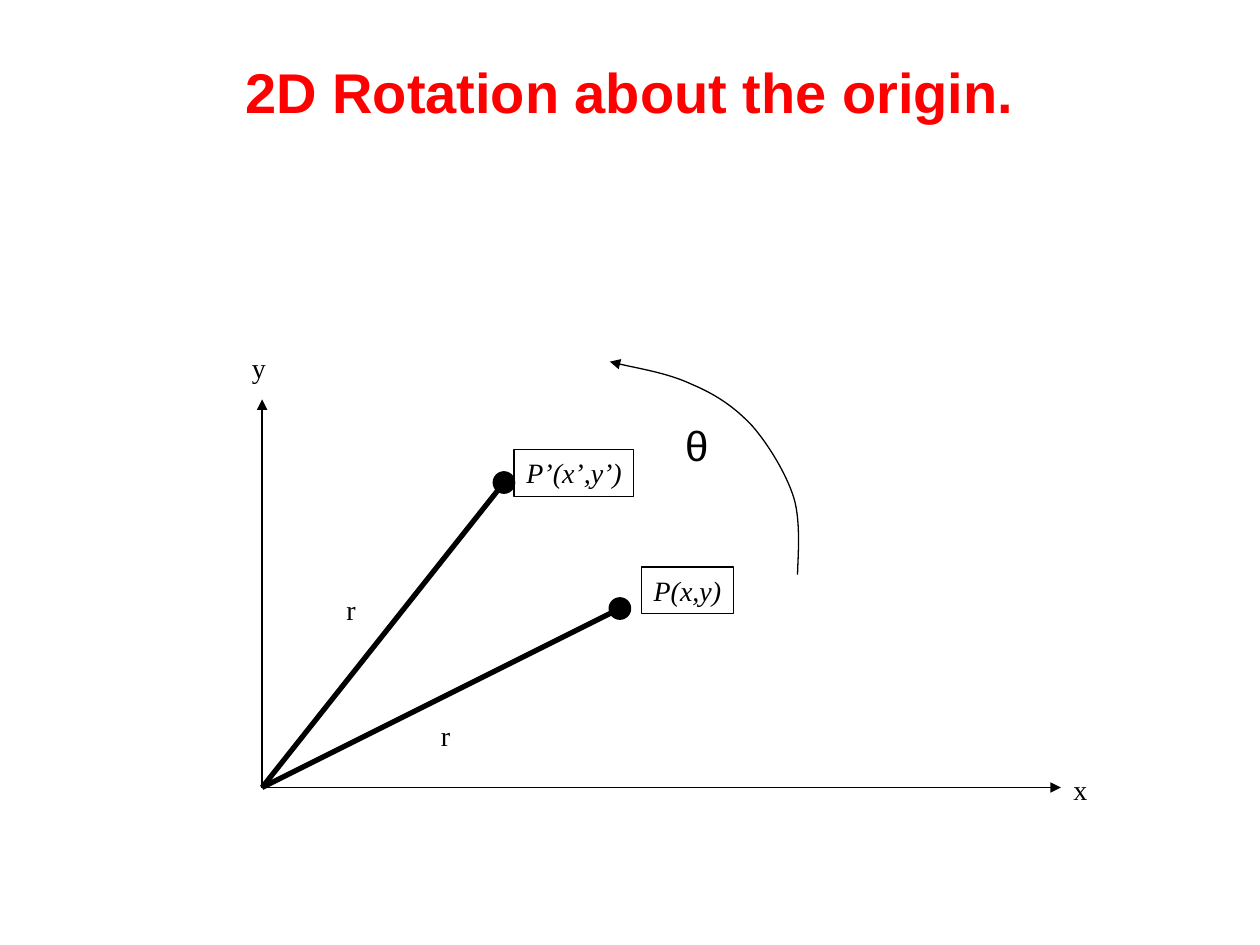
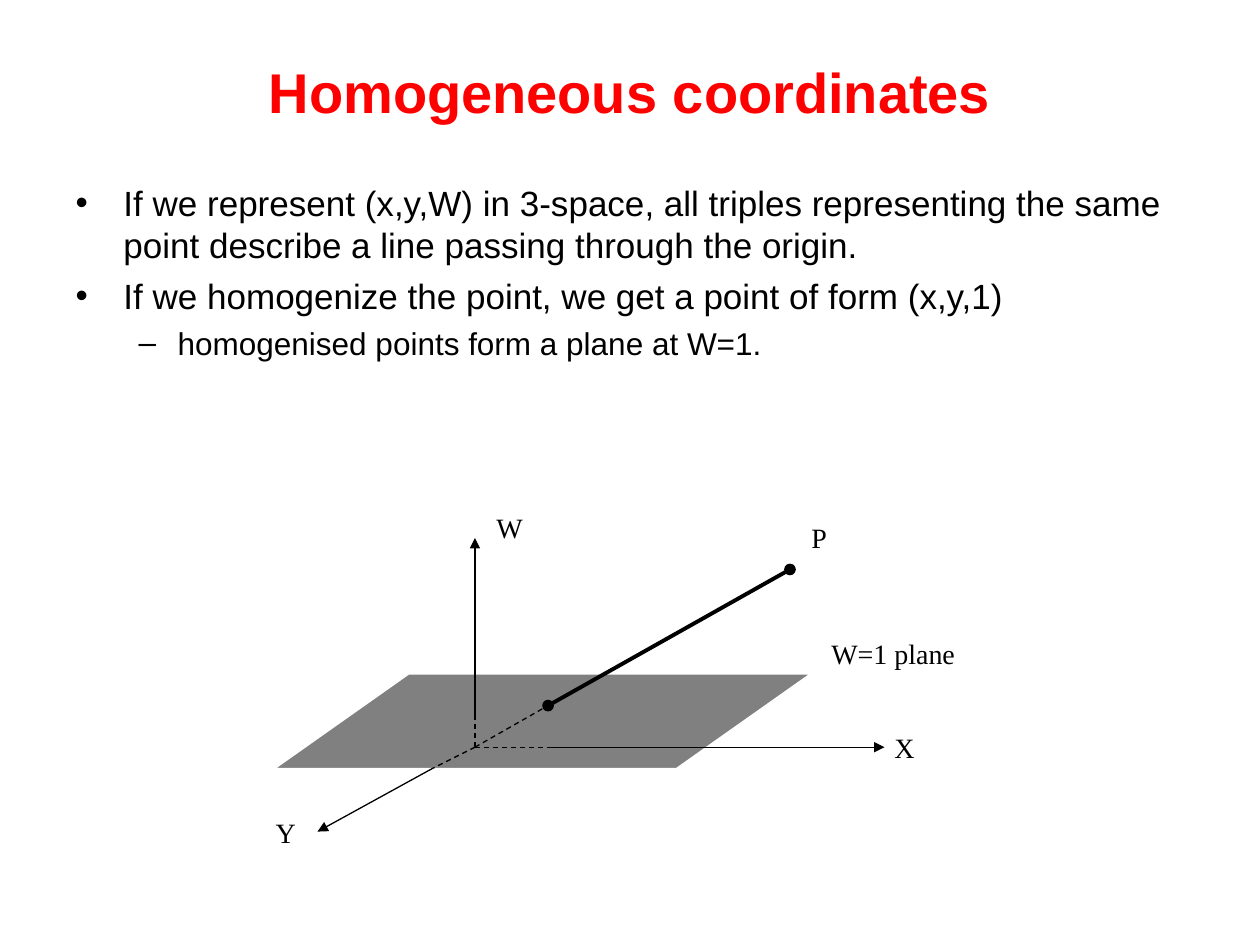
from dataclasses import dataclass
from typing import Any

from lxml import etree
from pptx import Presentation
from pptx import util as u
from pptx.dml.color import RGBColor
from pptx.enum import dml, shapes, text
from pptx.oxml.ns import qn

INK, RED, GRAY, WHITE = "000000", "FF0000", "808080", "FFFFFF"
SANS, SERIF = "Arial", "Times New Roman"
THIN = 0.75
TITLE = (0.5, 0.3, 9, 0.85)
BODY = (0.5, 1.39, 9, 2.37)


@dataclass
class Label:
    words: str
    left: float
    top: float
    width: float
    height: float = 0.37
    size: float = 16
    face: str = SERIF
    boxed: bool = False


@dataclass
class Line:
    start: tuple[float, float]
    end: tuple[float, float]
    weight: float = THIN
    dashed: bool = False
    head: str = ""
    tail: str = ""


@dataclass
class Item:
    words: str
    size: float
    level: int
    margin: float
    hang: float
    mark: str
    gap: float


def color(code: str) -> RGBColor:
    return RGBColor.from_string(code)


def apply(thing: Any, **values: Any) -> None:
    for name, value in values.items():
        setattr(thing, name, value)


def place(shape: Any, box: tuple) -> None:
    names = ("left", "top", "width", "height")
    apply(shape, **dict(zip(names, map(u.Inches, box))))


def style(font: Any, size: float, face: str = SANS, code: str = INK, **more: Any) -> None:
    apply(font, size=u.Pt(size), name=face, **more)
    font.color.rgb = color(code)


def stroke(line: Any, code: str = INK, weight: float = THIN) -> None:
    line.color.rgb = color(code)
    line.width = u.Pt(weight)


def tip(shape: Any, head: str = "", tail: str = "") -> None:
    edge = shape.line._get_or_add_ln()
    for tag, kind in (("a:headEnd", head), ("a:tailEnd", tail)):
        if kind:
            etree.SubElement(edge, qn(tag), type=kind)


def add_title(slide: Any, words: str) -> None:
    title = slide.shapes.title
    place(title, TITLE)
    frame = title.text_frame
    frame.text = words
    apply(frame, vertical_anchor=text.MSO_ANCHOR.MIDDLE, word_wrap=True,
          auto_size=text.MSO_AUTO_SIZE.NONE)
    par = frame.paragraphs[0]
    par.alignment = text.PP_ALIGN.CENTER
    style(par.font, 32, code=RED, bold=True)


def add_list(slide: Any, items: list[Item]) -> None:
    body = slide.placeholders[1]
    place(body, BODY)
    frame = body.text_frame
    frame.text = "\n".join(item.words for item in items)
    frame.auto_size = text.MSO_AUTO_SIZE.NONE
    for par, item in zip(frame.paragraphs, items):
        apply(par, level=item.level, space_before=u.Pt(item.gap))
        props = par._p.get_or_add_pPr()
        props.set("marL", str(u.Inches(item.margin)))
        props.set("indent", str(-u.Inches(item.hang)))
        tint = etree.SubElement(props, qn("a:buClr"))
        etree.SubElement(tint, qn("a:srgbClr"), val=INK)
        etree.SubElement(props, qn("a:buFont"), typeface=SANS)
        etree.SubElement(props, qn("a:buChar"), char=item.mark)
        style(par.font, item.size)


def add_label(slide: Any, label: Label) -> None:
    box = [u.Inches(n) for n in (label.left, label.top, label.width, label.height)]
    if label.boxed:
        shape = slide.shapes.add_shape(shapes.MSO_SHAPE.RECTANGLE, *box)
        shape.shadow.inherit = False
        shape.fill.background()
        stroke(shape.line)
        shape.text_frame.margin_right = 0
    else:
        shape = slide.shapes.add_textbox(*box)
    frame = shape.text_frame
    apply(frame, word_wrap=False, auto_size=text.MSO_AUTO_SIZE.SHAPE_TO_FIT_TEXT,
          vertical_anchor=text.MSO_ANCHOR.TOP)
    par = frame.paragraphs[0]
    apply(par, text=label.words, alignment=text.PP_ALIGN.LEFT)
    style(par.font, label.size, label.face, italic=label.boxed)


def add_line(slide: Any, line: Line) -> None:
    ends = map(u.Inches, line.start + line.end)
    link = slide.shapes.add_connector(shapes.MSO_CONNECTOR.STRAIGHT, *ends)
    stroke(link.line, weight=line.weight)
    if line.dashed:
        link.line.dash_style = dml.MSO_LINE.DASH
    tip(link, line.head, line.tail)
    etree.SubElement(link._element.spPr, qn("a:effectLst"))


def add_solid(slide: Any, kind: Any, box: tuple, fill: str, edge: str) -> Any:
    shape = slide.shapes.add_shape(kind, *map(u.Inches, box))
    shape.shadow.inherit = False
    shape.fill.solid()
    shape.fill.fore_color.rgb = color(fill)
    stroke(shape.line, edge)
    return shape


def add_curve(slide: Any, points: list[tuple[float, float]]) -> None:
    spots = [(u.Inches(x), u.Inches(y)) for x, y in points]
    pen = slide.shapes.build_freeform(*spots[0])
    pen.add_line_segments(spots[1:], close=False)
    curve = pen.convert_to_shape()
    curve.shadow.inherit = False
    curve.fill.background()
    stroke(curve.line)
    tip(curve, tail="triangle")
    steps = list(curve._element.iter(qn("a:lnTo")))
    track = steps[0].getparent()
    for at in range(0, len(steps), 3):
        bend = etree.SubElement(track, qn("a:cubicBezTo"))
        for step in steps[at:at + 3]:
            bend.append(step[0])
            track.remove(step)


def draw_turn(slide: Any) -> None:
    add_title(slide, "2D Rotation about the origin.")
    origin, before, after = (2.08, 6.25), (4.92, 4.83), (4, 3.83)
    for end in ((2.08, 3.17), (8.42, 6.25)):
        add_line(slide, Line(origin, end, tail="triangle"))
    dot = 0.17
    for x, y in (before, after):
        box = (x - dot / 2, y - dot / 2, dot, dot)
        add_solid(slide, shapes.MSO_SHAPE.OVAL, box, INK, INK)
        add_line(slide, Line(origin, (x, y), 3))
    add_curve(slide, [
        (6.33, 4.56), (6.33, 4.45), (6.36, 4.15), (6.3, 3.95),
        (6.24, 3.76), (6.1, 3.53), (5.97, 3.38),
        (5.83, 3.23), (5.68, 3.13), (5.49, 3.05),
        (5.3, 2.96), (4.98, 2.91), (4.84, 2.87),
    ])
    for label in (
        Label("y", 1.9, 2.73, 0.31),
        Label("x", 8.42, 6.08, 0.31),
        Label("r", 2.65, 4.65, 0.27),
        Label("r", 3.4, 5.65, 0.27),
        Label("P’(x’,y’)", 4.08, 3.57, 0.95, boxed=True),
        Label("P(x,y)", 5.09, 4.5, 0.73, boxed=True),
        Label("θ", 5.34, 3.28, 0.37, 0.5, 24, SANS),
    ):
        add_label(slide, label)


def draw_space(slide: Any) -> None:
    add_title(slide, "Homogeneous coordinates")
    add_list(slide, [
        Item("If we represent (x,y,W) in 3-space, all triples representing the same "
             "point describe a line passing through the origin.", 20, 0, 0.38, 0.38, "•", 0),
        Item("If we homogenize the point, we get a point of form (x,y,1)",
             20, 0, 0.38, 0.38, "•", 5),
        Item("homogenised points form a plane at W=1.", 18, 1, 0.81, 0.31, "–", 4.5),
    ])
    plane = add_solid(slide, shapes.MSO_SHAPE.PARALLELOGRAM,
                      (2.18, 5.35, 4.25, 0.75), GRAY, WHITE)
    plane.adjustments[0] = 1.417
    origin, hit = (3.77, 5.93), (4.35, 5.6)
    for mid, end in (
        ((3.77, 5.68), (3.77, 4.27)),
        ((4.35, 5.93), (7.02, 5.93)),
        ((3.43, 6.1), (2.52, 6.6)),
    ):
        add_line(slide, Line(origin, mid, dashed=True))
        add_line(slide, Line(mid, end, tail="triangle"))
    add_line(slide, Line(origin, hit, dashed=True))
    add_line(slide, Line(hit, (6.27, 4.52), 2.25, head="oval", tail="oval"))
    for label in (
        Label("P", 6.34, 4.08, 0.32),
        Label("X", 7, 5.75, 0.36),
        Label("Y", 2.09, 6.42, 0.36),
        Label("W", 3.84, 4, 0.41),
        Label("W=1 plane", 6.5, 5, 1.18),
    ):
        add_label(slide, label)


def main() -> None:
    deck = Presentation()
    apply(deck, slide_width=u.Inches(10), slide_height=u.Inches(7.5))
    for layout, draw in ((5, draw_turn), (1, draw_space)):
        draw(deck.slides.add_slide(deck.slide_layouts[layout]))
    deck.save("out.pptx")


if __name__ == "__main__":
    main()
